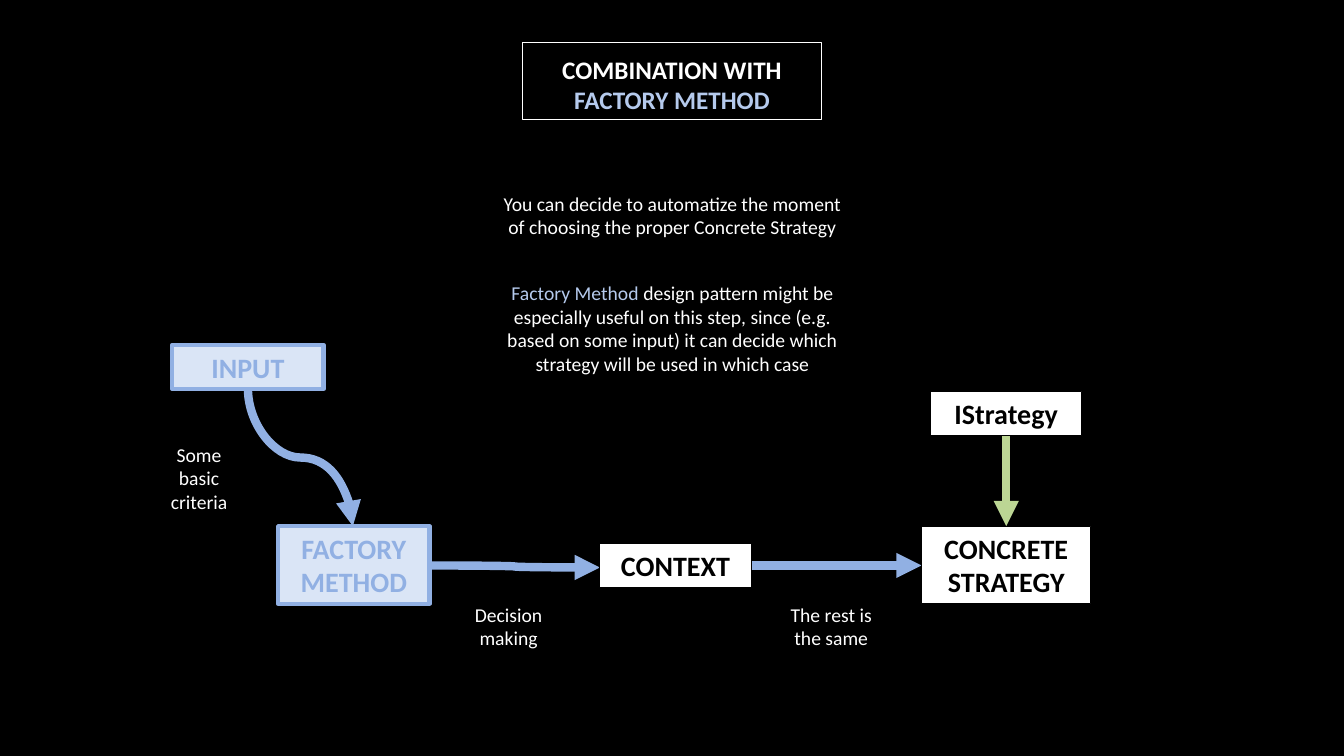
from copy import deepcopy

from lxml import etree
from pptx import Presentation
from pptx.dml.color import RGBColor
from pptx.enum.shapes import MSO_CONNECTOR, MSO_SHAPE
from pptx.enum.text import MSO_ANCHOR, MSO_AUTO_SIZE, PP_ALIGN
from pptx.oxml.ns import qn
from pptx.util import Inches, Pt

RECTANGLE = MSO_SHAPE.RECTANGLE
STRAIGHT, CURVE = MSO_CONNECTOR.STRAIGHT, MSO_CONNECTOR.CURVE
CENTER = PP_ALIGN.CENTER
TOP, MIDDLE, BOTTOM = MSO_ANCHOR.TOP, MSO_ANCHOR.MIDDLE, MSO_ANCHOR.BOTTOM
NO_FIT = MSO_AUTO_SIZE.NONE

FONT = "Calibri"
BLACK, WHITE = "000000", "FFFFFF"
SOFT_BLUE, BLUE, PALE_BLUE, GREEN = "B5CAED", "91B0E3", "DAE5F6", "BCD694"


def colour(value):
    return RGBColor.from_string(value)


class DiagramSlide:
    def __init__(self, deck, layout, background):
        self.page = deck.slides.add_slide(layout)
        self.page.background.fill.solid()
        self.page.background.fill.fore_color.rgb = colour(background)

    def fill_text(self, box, spans, size, bold=False, anchor=TOP):
        """Fill a box with one centred paragraph of (text, colour) spans."""
        frame = box.text_frame
        frame.word_wrap = True
        frame.auto_size = NO_FIT
        frame.vertical_anchor = anchor
        para = frame.paragraphs[0]
        para.alignment = CENTER
        para.line_spacing = 1.0
        para.space_before = Pt(0)
        for text, tint in spans:
            for number, line in enumerate(text.split("\n")):
                if number:
                    para.add_line_break()
                if line:
                    span = para.add_run()
                    span.text = line
                    span.font.name = FONT
                    span.font.size = Pt(size)
                    span.font.bold = bold
                    span.font.color.rgb = colour(tint)
        # Line breaks take the size of the text around them
        for line_break in para._p.findall(qn("a:br")):
            line_break.append(deepcopy(para.runs[0].font._element))

    def title(self, left, top, width, height, spans):
        box = self.page.shapes.title
        box.left, box.top = Inches(left), Inches(top)
        box.width, box.height = Inches(width), Inches(height)
        box.line.color.rgb = colour(WHITE)
        box.line.width = Pt(0.75)
        self.fill_text(box, spans, 18, True, BOTTOM)

    def text(self, left, top, width, height, *spans):
        box = self.page.shapes.add_textbox(
            Inches(left), Inches(top), Inches(width), Inches(height))
        self.fill_text(box, spans, 14)

    def node(self, left, top, width, height, label, fill, line, line_width, ink):
        box = self.page.shapes.add_shape(
            RECTANGLE, Inches(left), Inches(top), Inches(width), Inches(height))
        box.shadow.inherit = False
        box.fill.solid()
        box.fill.fore_color.rgb = colour(fill)
        box.line.color.rgb = colour(line)
        box.line.width = Pt(line_width)
        self.fill_text(box, [(label, ink)], 20, True, MIDDLE)

    def arrow(self, kind, start, end, tint):
        arrow = self.page.shapes.add_connector(
            kind, *(Inches(value) for value in start + end))
        arrow.line.color.rgb = colour(tint)
        arrow.line.width = Pt(6)
        line = arrow.line._get_or_add_ln()
        etree.SubElement(line, qn("a:tailEnd"), type="triangle")
        etree.SubElement(arrow._element.spPr, qn("a:effectLst"))
        return arrow


def main():
    deck = Presentation()
    deck.slide_width, deck.slide_height = Inches(13.33), Inches(7.5)
    slide = DiagramSlide(deck, deck.slide_layouts[5], BLACK)

    # Title and explanation
    slide.title(5.18, 0.42, 2.97, 0.77,
                [("COMBINATION WITH\n", WHITE), ("FACTORY METHOD", SOFT_BLUE)])
    slide.text(4.88, 1.85, 3.58, 0.57,
               ("You can decide to automatize the moment\n"
                "of choosing the proper Concrete Strategy", WHITE))
    slide.text(4.88, 2.74, 3.58, 1.04,
               ("Factory Method ", SOFT_BLUE),
               ("design pattern might be\n"
                "especially useful on this step, since (e.g.\n"
                "based on some input) it can decide which\n"
                "strategy will be used in which case", WHITE))

    # Arrows
    slide.arrow(CURVE, (4.26, 5.61), (5.95, 5.63), BLUE)
    slide.arrow(CURVE, (7.45, 5.61), (9.14, 5.61), BLUE)
    slide.arrow(STRAIGHT, (9.98, 4.31), (9.98, 5.22), GREEN)
    # Turned and mirrored so that the curve leaves the input box downwards
    input_arrow = slide.arrow(CURVE, (2.3, 4.02), (3.66, 5.06), BLUE)
    frame = input_arrow._element.spPr.find(qn("a:xfrm"))
    frame.set("rot", str(270 * 60000))
    frame.set("flipH", "1")

    # Boxes of the flow
    blue_style = (PALE_BLUE, BLUE, 3, BLUE)
    white_style = (WHITE, BLACK, 0.75, BLACK)
    for left, top, width, height, label, style in (
            (2.76, 5.22, 1.5, 0.77, "FACTORY\nMETHOD", blue_style),
            (5.95, 5.39, 1.5, 0.44, "CONTEXT", white_style),
            (9.14, 5.22, 1.68, 0.77, "CONCRETE\nSTRATEGY", white_style),
            (9.23, 3.88, 1.5, 0.44, "IStrategy", white_style),
            (1.71, 3.42, 1.5, 0.44, "INPUT", blue_style)):
        slide.node(left, top, width, height, label, *style)

    # Captions beside the arrows
    for left, top, height, caption in (
            (1.41, 4.34, 0.81, "Some\nbasic\ncriteria"),
            (4.48, 5.93, 0.57, "Decision\nmaking"),
            (7.68, 5.93, 0.57, "The rest is\nthe same")):
        slide.text(left, top, 1.13, height, (caption, WHITE))

    deck.save("out.pptx")


if __name__ == "__main__":
    main()
